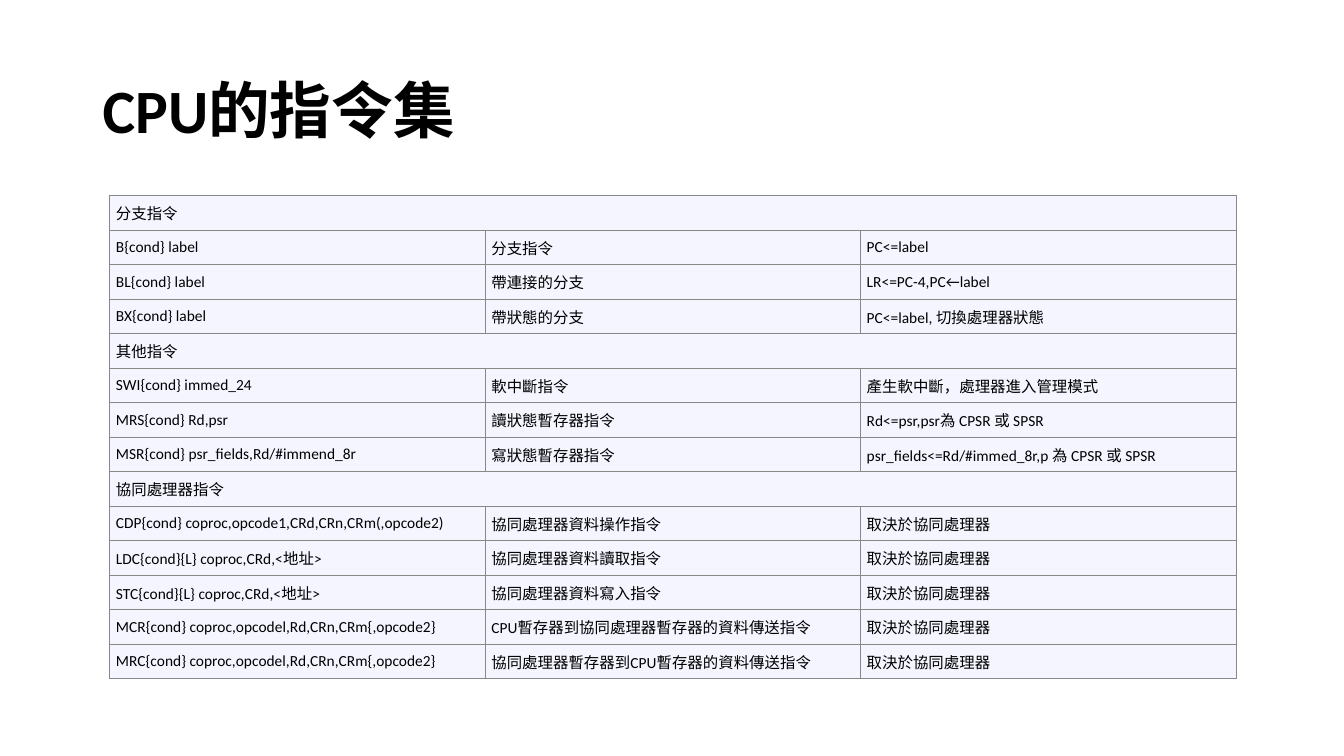
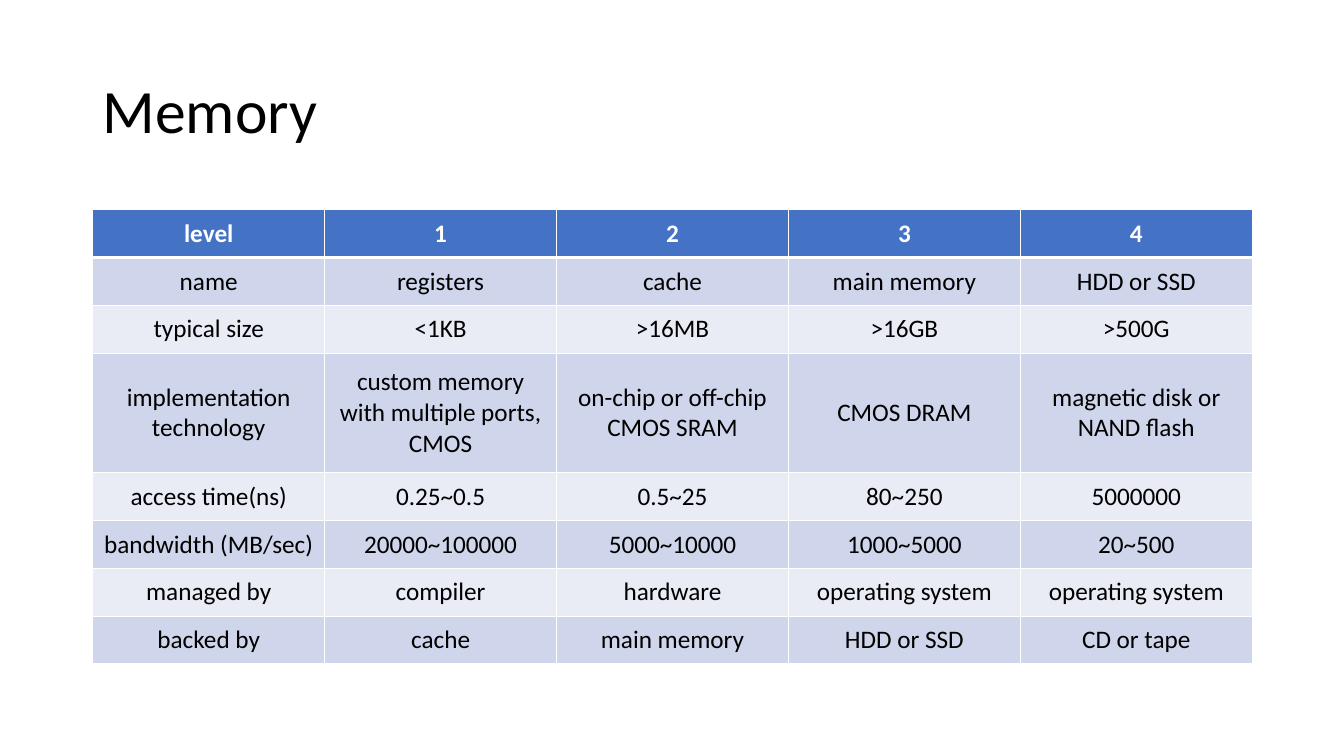
"""Build two slides of tables: an instruction set and a memory hierarchy."""
from lxml import etree
from pptx import Presentation
from pptx.dml.color import RGBColor
from pptx.enum.text import MSO_ANCHOR, PP_ALIGN
from pptx.oxml.ns import qn
from pptx.util import Inches, Pt

MIDDLE = MSO_ANCHOR.MIDDLE
LEFT, CENTER = PP_ALIGN.LEFT, PP_ALIGN.CENTER
FONT = "Calibri"
COLORS = {"black": "000000", "white": "FFFFFF", "rule": "888888", "pale": "F4F5FF",
          "header": "4472C4", "odd": "CFD5EA", "even": "E9EBF5"}
SLIDE_SIZE = (13.33, 7.5)
TITLE_AREA = (0.92, 0.4, 11.5, 1.45)

COPROCESSOR = "取決於協同處理器"
INSTRUCTIONS = [
    ("分支指令",),
    ("B{cond} label", "分支指令", "PC<=label"),
    ("BL{cond} label", "帶連接的分支", "LR<=PC-4,PC←label"),
    ("BX{cond} label", "帶狀態的分支", "PC<=label, 切換處理器狀態"),
    ("其他指令",),
    ("SWI{cond} immed_24", "軟中斷指令", "產生軟中斷，處理器進入管理模式"),
    ("MRS{cond} Rd,psr", "讀狀態暫存器指令", "Rd<=psr,psr為 CPSR 或 SPSR"),
    ("MSR{cond} psr_fields,Rd/#immend_8r", "寫狀態暫存器指令",
     "psr_fields<=Rd/#immed_8r,p 為 CPSR 或 SPSR"),
    ("協同處理器指令",),
    ("CDP{cond} coproc,opcode1,CRd,CRn,CRm(,opcode2)", "協同處理器資料操作指令", COPROCESSOR),
    ("LDC{cond}{L} coproc,CRd,<地址>", "協同處理器資料讀取指令", COPROCESSOR),
    ("STC{cond}{L} coproc,CRd,<地址>", "協同處理器資料寫入指令", COPROCESSOR),
    ("MCR{cond} coproc,opcodel,Rd,CRn,CRm{,opcode2}",
     "CPU暫存器到協同處理器暫存器的資料傳送指令", COPROCESSOR),
    ("MRC{cond} coproc,opcodel,Rd,CRn,CRm{,opcode2}",
     "協同處理器暫存器到CPU暫存器的資料傳送指令", COPROCESSOR),
]
MEMORY_LEVELS = [
    ("level", "1", "2", "3", "4"),
    ("name", "registers", "cache", "main memory", "HDD or SSD"),
    ("typical size", "<1KB", ">16MB", ">16GB", ">500G"),
    ("implementation technology", "custom memory with multiple ports, CMOS",
     "on-chip or off-chip CMOS SRAM", "CMOS DRAM", "magnetic disk or NAND flash"),
    ("access time(ns)", "0.25~0.5", "0.5~25", "80~250", "5000000"),
    ("bandwidth (MB/sec)", "20000~100000", "5000~10000", "1000~5000", "20~500"),
    ("managed by", "compiler", "hardware", "operating system", "operating system"),
    ("backed by", "cache", "main memory", "HDD or SSD", "CD or tape"),
]
SLIDES = [
    {"title": "CPU的指令集", "bold_title": True, "rows": INSTRUCTIONS,
     "area": (1.09, 1.94, 11.17, 4.8), "row_shares": [1] * len(INSTRUCTIONS),
     "size": 11, "align": LEFT, "insets": (0.06, 0.03), "header": False,
     "fills": ("pale", "pale"), "border": ("rule", 0.75)},
    {"title": "Memory", "bold_title": False, "rows": MEMORY_LEVELS,
     "area": TITLE_AREA[:1] + (2.08, 11.5, 4.51), "row_shares": [1, 1, 1, 2.5, 1, 1, 1, 1],
     "size": 18, "align": CENTER, "insets": (0.1, 0.05), "header": True,
     "fills": ("even", "odd"), "border": ("white", 1)},
]
HEADER_RULE = 3


def write(frame, text, size, color="black", bold=False, align=LEFT):
    """Put one styled paragraph in a text frame and return it."""
    paragraph = frame.paragraphs[0]
    paragraph.alignment = align
    run = paragraph.add_run()
    run.text = text
    for key, value in {"name": FONT, "size": Pt(size), "bold": bold}.items():
        setattr(run.font, key, value)
    run.font.color.rgb = RGBColor.from_string(COLORS[color])
    return paragraph


def add_title(slide, text, bold):
    """Add the slide title."""
    frame = slide.shapes.add_textbox(*map(Inches, TITLE_AREA)).text_frame
    frame.word_wrap = True
    frame.vertical_anchor = MIDDLE
    write(frame, text, 44, bold=bold).line_spacing = 0.9


def set_borders(cell, color, widths):
    """Draw the four cell edges with the given widths in points."""
    properties = cell._tc.get_or_add_tcPr()
    for side, width in widths.items():
        edge = etree.SubElement(properties, qn(f"a:ln{side}"), w=str(Pt(width)))
        fill = etree.SubElement(edge, qn("a:solidFill"))
        etree.SubElement(fill, qn("a:srgbClr"), val=COLORS[color])


def add_grid(slide, rows, area, row_shares, size, align, insets, header, fills, border):
    """Add a table whose one-item rows span all columns."""
    column_count = max(map(len, rows))
    table = slide.shapes.add_table(len(rows), column_count, *map(Inches, area)).table
    table.first_row = table.horz_banding = False
    for column in table.columns:
        column.width = Inches(area[2] / column_count)
    for row, share in zip(table.rows, row_shares):
        row.height = Inches(area[3] * share / sum(row_shares))
    side_inset, end_inset = map(Inches, insets)
    layout = {"vertical_anchor": MIDDLE, "margin_left": side_inset, "margin_right": side_inset,
              "margin_top": end_inset, "margin_bottom": end_inset}
    border_color, border_width = border
    for r, texts in enumerate(rows):
        is_header = header and r == 0
        widths = dict.fromkeys("LRTB", border_width)
        if header and r < 2:
            widths["B" if is_header else "T"] = HEADER_RULE
        for c in range(column_count):
            cell = table.cell(r, c)
            for key, value in layout.items():
                setattr(cell, key, value)
            set_borders(cell, border_color, widths)
            cell.fill.solid()
            fill = "header" if is_header else fills[r % 2]
            cell.fill.fore_color.rgb = RGBColor.from_string(COLORS[fill])
            if c < len(texts):
                write(cell.text_frame, texts[c], size, "white" if is_header else "black",
                      is_header, align)
        if len(texts) == 1:
            table.cell(r, 0).merge(table.cell(r, column_count - 1))


def main():
    """Build and save the presentation."""
    deck = Presentation()
    deck.slide_width, deck.slide_height = map(Inches, SLIDE_SIZE)
    for content in SLIDES:
        slide = deck.slides.add_slide(deck.slide_layouts[6])
        grid = dict(content)
        add_title(slide, grid.pop("title"), grid.pop("bold_title"))
        add_grid(slide, **grid)
    deck.save("out.pptx")


if __name__ == "__main__":
    main()
